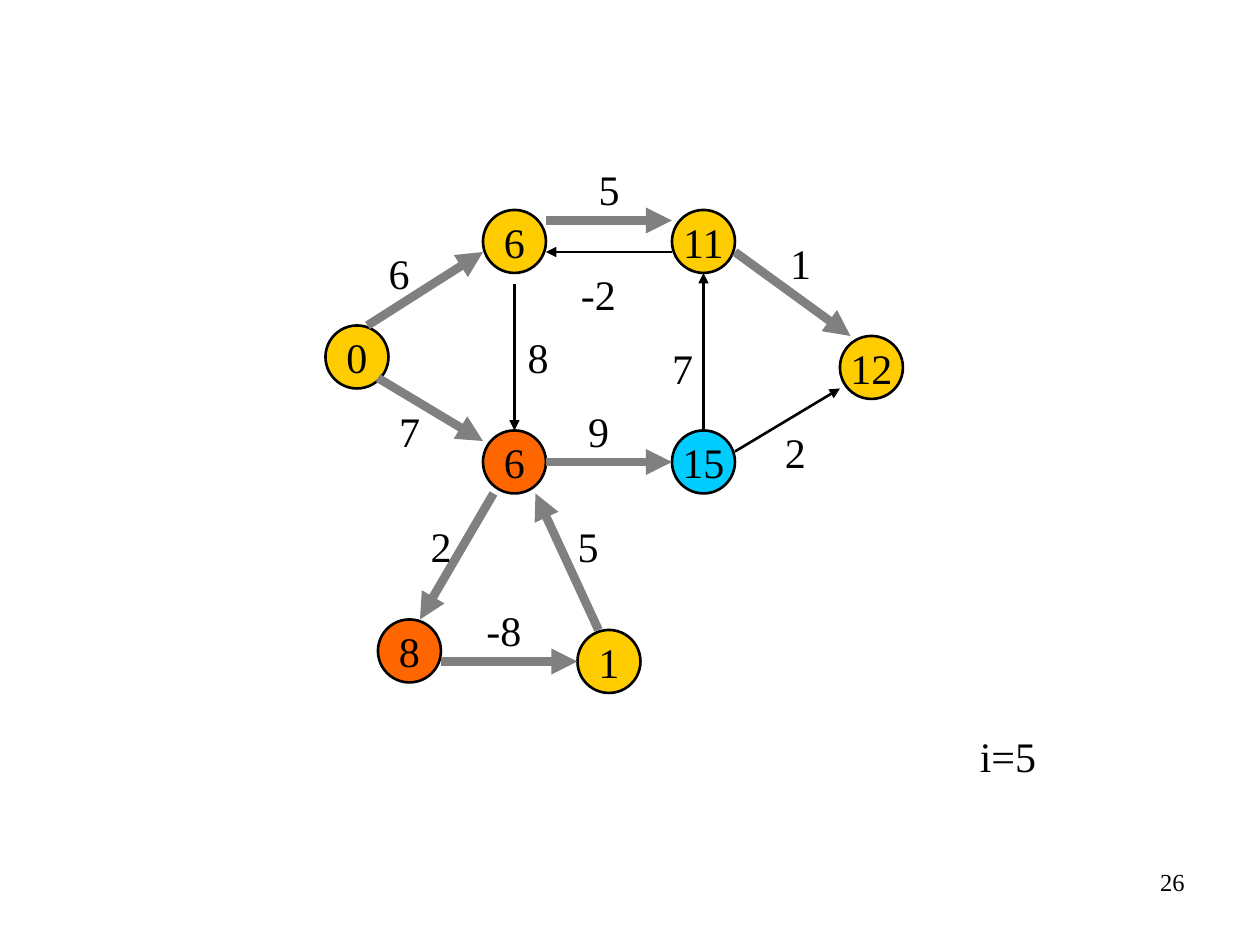
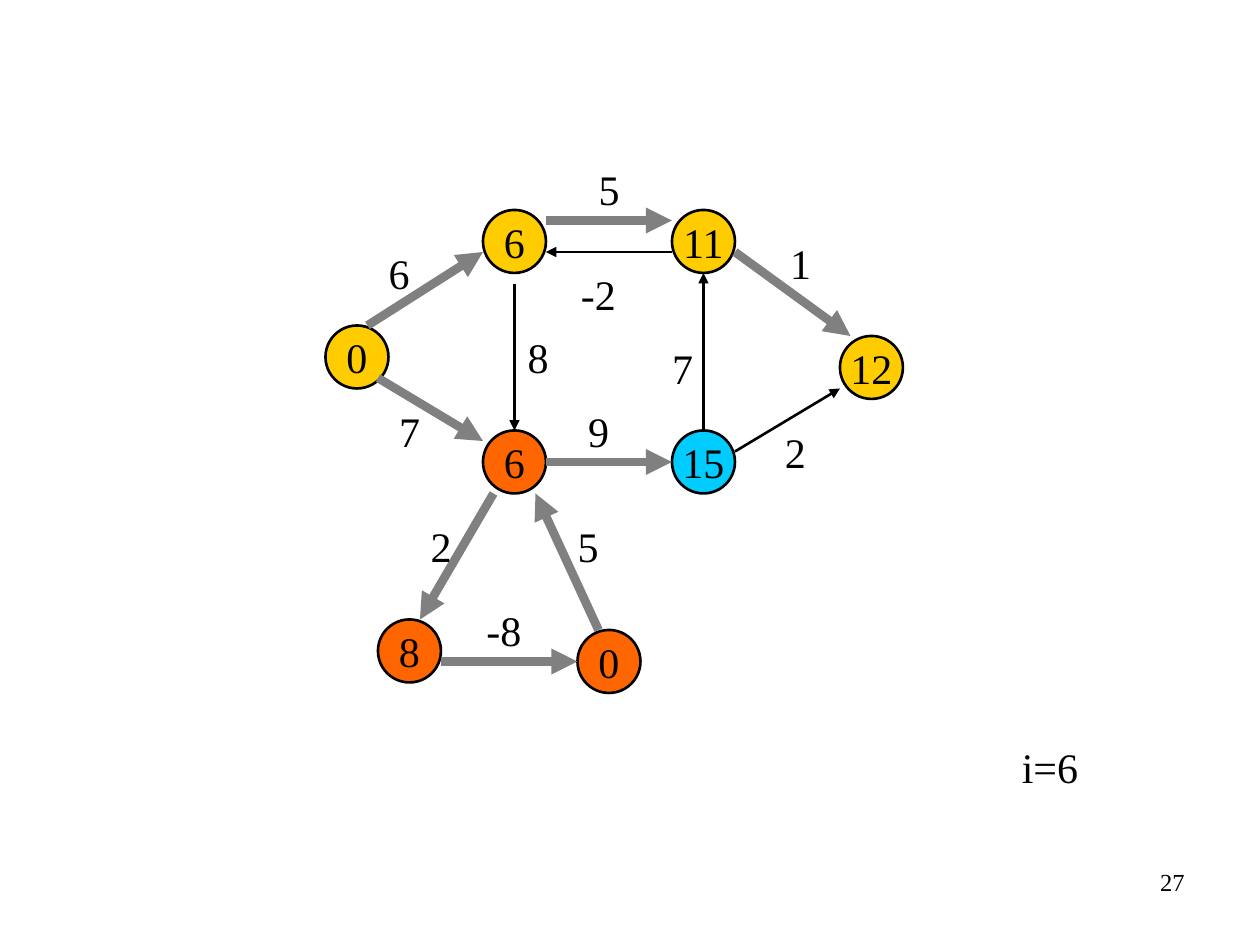
import pptx
import pptx.util
import pptx.dml.color
import pptx.enum.shapes
import pptx.enum.text
import pptx.oxml.ns
from lxml import etree

Pt = pptx.util.Pt
RGB = pptx.dml.color.RGBColor
ALIGN = pptx.enum.text.PP_ALIGN
ANCHOR = pptx.enum.text.MSO_ANCHOR
FIT = pptx.enum.text.MSO_AUTO_SIZE

# Shared look
FONT = "Times New Roman"
BLACK = RGB(0x00, 0x00, 0x00)
GRAY = RGB(0x80, 0x80, 0x80)
GOLD = RGB(0xFF, 0xCC, 0x00)
ORANGE = RGB(0xFF, 0x66, 0x00)
BLUE = RGB(0x00, 0xCC, 0xFF)
THIN, THICK = 1.5, 5

# The graph lies on a grid of 6 pt steps, counted from its own corner
STEP = 6
NODE = 6  # node diameter in steps
GRAPH = (186, 90)
FOOT = (516, 492, 168, 37.5)

# Node places: column, row
SPOTS = [(0, 16), (15, 26), (15, 5), (33, 26), (49, 17), (33, 5), (24, 45), (5, 44)]

# Edges: start, end, weight, weight's centre column and top row, on the tree or not
EDGES = [
    ((4, 16), (15, 9), "6", (7, 8), True),
    ((5, 21), (15, 27), "7", (8, 23), True),
    ((21, 6), (33, 6), "5", (27, 0), True),
    ((33, 9), (21, 9), "-2", (26, 10), False),
    ((18, 12), (18, 26), "8", (20.25, 16), False),
    ((21, 29), (33, 29), "9", (26, 23), True),
    ((36, 26), (36, 11), "7", (34, 17), False),
    ((39, 9), (50, 17), "1", (45.25, 7), True),
    ((39, 28), (49, 22), "2", (44.75, 25), False),
    ((16, 32), (9, 44), "2", (11, 34), True),
    ((11, 48), (24, 48), "-8", (17, 42), True),
    ((26, 45), (20, 32), "5", (25, 34), True),
]

# Each pass: page, grouped or not, node values and fills, counter and its box
START = [("0", GOLD), ("6", ORANGE), ("6", GOLD), ("15", BLUE), ("12", GOLD), ("11", GOLD)]
PASSES = [
    ("26", False, START + [("1", GOLD), ("8", ORANGE)], "i=5", (522, 414, 108, 36)),
    ("27", True, START + [("0", ORANGE), ("8", ORANGE)], "i=6", (540, 420, 120, 36)),
]


def write(shape, text, size=24, align=ALIGN.CENTER):
    para = shape.text_frame.paragraphs[0]
    para.alignment = align
    run = para.add_run()
    run.text = text
    run.font.name, run.font.size = FONT, Pt(size)
    run.font.color.rgb = BLACK


def label(shapes, box, text, wrap=True, **style):
    area = shapes.add_textbox(*map(Pt, box))
    area.text_frame.word_wrap = wrap
    write(area, text, **style)
    return area.text_frame


def node(shapes, left, top, text, fill):
    disc = shapes.add_shape(pptx.enum.shapes.MSO_SHAPE.OVAL, Pt(left), Pt(top),
                            Pt(NODE * STEP), Pt(NODE * STEP))
    disc.shadow.inherit = False
    disc.fill.solid()
    disc.fill.fore_color.rgb = fill
    disc.line.color.rgb, disc.line.width = BLACK, Pt(THIN)
    disc.text_frame.word_wrap = False
    disc.text_frame.vertical_anchor = ANCHOR.MIDDLE
    write(disc, text)


def arrow(shapes, start, end, tree):
    line = shapes.add_connector(pptx.enum.shapes.MSO_CONNECTOR.STRAIGHT,
                                *map(Pt, start + end))
    line.line.color.rgb = GRAY if tree else BLACK
    line.line.width = Pt(THICK if tree else THIN)
    qn = pptx.oxml.ns.qn
    etree.SubElement(line.line._get_or_add_ln(), qn("a:tailEnd"), type="triangle")
    etree.SubElement(line._element.spPr, qn("a:effectLst"))


def graph(shapes, corner, values):
    def place(spot):
        return tuple(base + step * STEP for base, step in zip(corner, spot))

    for spot, (text, fill) in zip(SPOTS, values):
        node(shapes, *place(spot), text, fill)
    for start, end, _, _, tree in EDGES:
        arrow(shapes, place(start), place(end), tree)
    # Weights, centred on their column
    for _, _, text, spot, _ in EDGES:
        mid, top = place(spot)
        wide = 26.5 if len(text) == 1 else 34.5
        frame = label(shapes, (mid - wide / 2, top, wide, 36), text, wrap=False)
        frame.vertical_anchor = ANCHOR.MIDDLE
        frame.auto_size = FIT.SHAPE_TO_FIT_TEXT


def build(deck, page, grouped, values, count, box):
    shapes = deck.slides.add_slide(deck.slide_layouts[6]).shapes
    label(shapes, FOOT, page, size=14, align=ALIGN.RIGHT)
    graph(shapes.add_group_shape().shapes if grouped else shapes, GRAPH, values)
    label(shapes, box, count).auto_size = FIT.SHAPE_TO_FIT_TEXT


deck = pptx.Presentation()
deck.slide_width, deck.slide_height = Pt(720), Pt(540)
for item in PASSES:
    build(deck, *item)
deck.save("out.pptx")
